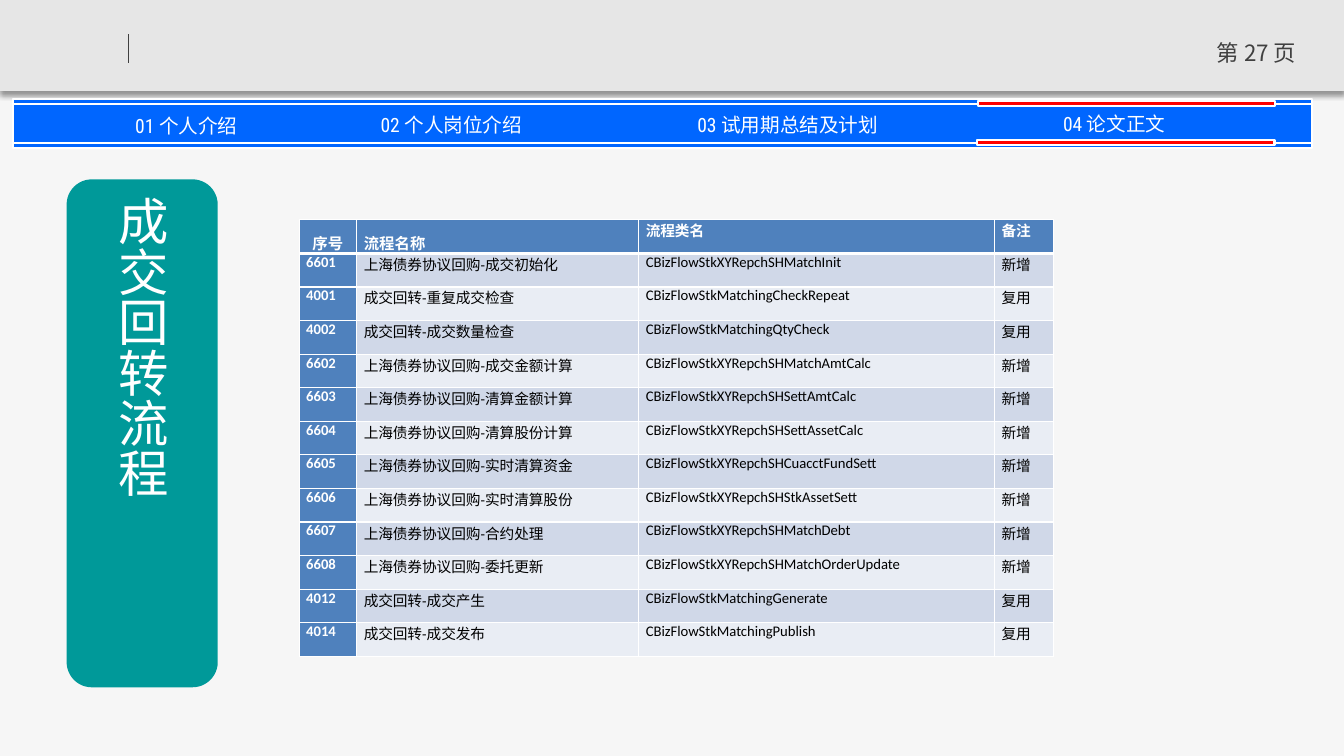
import lxml.etree
import pptx
import pptx.dml.color
import pptx.enum.shapes
import pptx.enum.text
import pptx.oxml.ns
import pptx.util

Cm = pptx.util.Cm
Pt = pptx.util.Pt
RGBColor = pptx.dml.color.RGBColor
SHAPE = pptx.enum.shapes.MSO_SHAPE
ALIGN = pptx.enum.text.PP_ALIGN
ANCHOR = pptx.enum.text.MSO_ANCHOR
qn = pptx.oxml.ns.qn

WHITE = RGBColor(0xFF, 0xFF, 0xFF)
BLACK = RGBColor(0, 0, 0)
PAPER = RGBColor(0xF6, 0xF6, 0xF6)
GREY = RGBColor(0xE6, 0xE6, 0xE6)
DARK = RGBColor(0x40, 0x40, 0x40)
BLUE = RGBColor(0x00, 0x66, 0xFF)
RED = RGBColor(0xFF, 0, 0)
TEAL = RGBColor(0x00, 0x99, 0x99)
STEEL = RGBColor(0x4F, 0x81, 0xBD)
BANDS = [RGBColor(0xE9, 0xED, 0xF4), RGBColor(0xD0, 0xD8, 0xE8)]

CJK = "Noto Sans CJK SC"
ROBOTO = "Roboto Condensed"
CALIBRI = "Calibri"

BARS = [
    (0.33, 2.62, 32.74, 1.09, BLUE),
    (0.33, 3.61, 32.74, 0.13, BLUE),
    (0.33, 2.49, 32.74, 0.13, BLUE),
    (24.66, 2.54, 7.49, 0.13, RED),
    (24.64, 3.53, 7.49, 0.13, RED),
]
TABS = [
    (1.55, 2.87, [("01 个人介绍", ROBOTO)]),
    (8.23, 2.84, [("02 个人岗位介绍", ROBOTO)]),
    (16.71, 2.84, [("03 ", ROBOTO), ("试用期总结及计划", CJK)]),
    (24.94, 2.82, [("04 论文正文", ROBOTO)]),
]
COLS = [1.45, 7.11, 8.97, 1.49]
HEAD = ("序号", "流程名称", "流程类名", "备注")
FLOWS = [
    ("6601", "上海债券协议回购-成交初始化", "CBizFlowStkXYRepchSHMatchInit", "新增"),
    ("4001", "成交回转-重复成交检查", "CBizFlowStkMatchingCheckRepeat", "复用"),
    ("4002", "成交回转-成交数量检查", "CBizFlowStkMatchingQtyCheck", "复用"),
    ("6602", "上海债券协议回购-成交金额计算", "CBizFlowStkXYRepchSHMatchAmtCalc", "新增"),
    ("6603", "上海债券协议回购-清算金额计算", "CBizFlowStkXYRepchSHSettAmtCalc", "新增"),
    ("6604", "上海债券协议回购-清算股份计算", "CBizFlowStkXYRepchSHSettAssetCalc", "新增"),
    ("6605", "上海债券协议回购-实时清算资金", "CBizFlowStkXYRepchSHCuacctFundSett", "新增"),
    ("6606", "上海债券协议回购-实时清算股份", "CBizFlowStkXYRepchSHStkAssetSett", "新增"),
    ("6607", "上海债券协议回购-合约处理", "CBizFlowStkXYRepchSHMatchDebt", "新增"),
    ("6608", "上海债券协议回购-委托更新", "CBizFlowStkXYRepchSHMatchOrderUpdate", "新增"),
    ("4012", "成交回转-成交产生", "CBizFlowStkMatchingGenerate", "复用"),
    ("4014", "成交回转-成交发布", "CBizFlowStkMatchingPublish", "复用"),
]


def add_run(para, text, font, size, color, bold=False):
    run = para.add_run()
    run.text = text
    run.font.name = font
    run.font.size = Pt(size)
    run.font.color.rgb = color
    run.font.bold = bold


def add_box(slide, x, y, w, h, fill, line=None, kind=SHAPE.RECTANGLE):
    box = slide.shapes.add_shape(kind, Cm(x), Cm(y), Cm(w), Cm(h))
    box.shadow.inherit = False
    box.fill.solid()
    box.fill.fore_color.rgb = fill
    if line is None:
        box.line.fill.background()
    else:
        box.line.color.rgb = line
        box.line.width = Pt(1.5)
    return box


def add_text(slide, x, y, w, h, runs, size, color):
    box = slide.shapes.add_textbox(Cm(x), Cm(y), Cm(w), Cm(h))
    frame = box.text_frame
    frame.word_wrap = True
    para = frame.paragraphs[0]
    para.alignment = ALIGN.CENTER
    for text, font in runs:
        add_run(para, text, font, size, color)
    return frame


def add_tab(slide, x, y, runs):
    frame = add_text(slide, x, y, 6.3, 0.61, runs, 14, WHITE)
    frame.margin_left = frame.margin_right = 0
    frame.margin_top = frame.margin_bottom = 0
    frame.vertical_anchor = ANCHOR.MIDDLE
    frame.auto_size = pptx.enum.text.MSO_AUTO_SIZE.SHAPE_TO_FIT_TEXT


def add_shade(shape):
    list_node = shape._element.spPr.find(qn("a:effectLst"))
    shade = lxml.etree.SubElement(
        list_node, qn("a:outerShdw"), blurRad=str(Pt(4)), dist=str(Pt(3)),
        dir="5400000", algn="t", rotWithShape="0")
    color = lxml.etree.SubElement(shade, qn("a:srgbClr"), val="000000")
    lxml.etree.SubElement(color, qn("a:alpha"), val="40000")


def add_header(slide):
    add_shade(add_box(slide, 0, 0, 33.88, 2.29, GREY))
    rule = slide.shapes.add_connector(
        pptx.enum.shapes.MSO_CONNECTOR.STRAIGHT,
        Cm(3.23), Cm(0.86), Cm(3.23), Cm(1.6))
    rule.line.color.rgb = DARK
    rule.line.width = Pt(0.75)
    lxml.etree.SubElement(rule._element.spPr, qn("a:effectLst"))
    add_text(slide, 30.15, 0.86, 3.05, 1.02, [("第 27 页", CJK)], 16, DARK)


def add_title(slide):
    box = add_box(slide, 1.68, 4.52, 3.81, 12.8, TEAL, kind=SHAPE.ROUNDED_RECTANGLE)
    frame = box.text_frame
    frame._txBody.bodyPr.set("vert", "eaVert")
    frame.vertical_anchor = ANCHOR.MIDDLE
    para = frame.paragraphs[0]
    para.alignment = ALIGN.LEFT
    add_run(para, "成交回转流程", CALIBRI, 36, WHITE)


def set_edges(cell, row):
    props = cell._tc.get_or_add_tcPr()
    for side in "LRTB":
        thick = (row, side) in ((0, "B"), (1, "T"))
        line = lxml.etree.SubElement(
            props, qn("a:ln" + side), w=str(Pt(3 if thick else 1)))
        fill = lxml.etree.SubElement(line, qn("a:solidFill"))
        lxml.etree.SubElement(fill, qn("a:srgbClr"), val=str(WHITE))


def fill_cell(cell, row, col, text):
    key = row == 0 or col == 0
    big = row == 0 and col < 2
    set_edges(cell, row)
    cell.fill.solid()
    cell.fill.fore_color.rgb = STEEL if key else BANDS[row % 2]
    cell.margin_left = cell.margin_right = Cm(0.18)
    cell.margin_top = cell.margin_bottom = 0
    cell.vertical_anchor = ANCHOR.BOTTOM if big else ANCHOR.TOP
    para = cell.text_frame.paragraphs[0]
    if big:
        para.alignment = ALIGN.LEFT if col else ALIGN.CENTER
    else:
        para.alignment = ALIGN.JUSTIFY
    add_run(para, text, CALIBRI, 11 if big else 10.5, WHITE if key else BLACK, key)


def add_flows(slide):
    rows = [HEAD] + FLOWS
    table = slide.shapes.add_table(
        len(rows), len(COLS), Cm(7.54), Cm(5.54), Cm(sum(COLS)), Cm(11)).table
    table.horz_banding = False
    for col, width in enumerate(COLS):
        table.columns[col].width = Cm(width)
    for row, texts in enumerate(rows):
        table.rows[row].height = Cm(11 / len(rows))
        for col, text in enumerate(texts):
            fill_cell(table.cell(row, col), row, col, text)


def main():
    deck = pptx.Presentation()
    deck.slide_width = Cm(33.88)
    deck.slide_height = Cm(19.05)
    slide = deck.slides.add_slide(deck.slide_layouts[6])
    slide.background.fill.solid()
    slide.background.fill.fore_color.rgb = PAPER
    add_header(slide)
    for bar in BARS:
        add_box(slide, *bar, line=WHITE)
    for tab in TABS:
        add_tab(slide, *tab)
    add_title(slide)
    add_flows(slide)
    deck.save("out.pptx")


if __name__ == "__main__":
    main()
